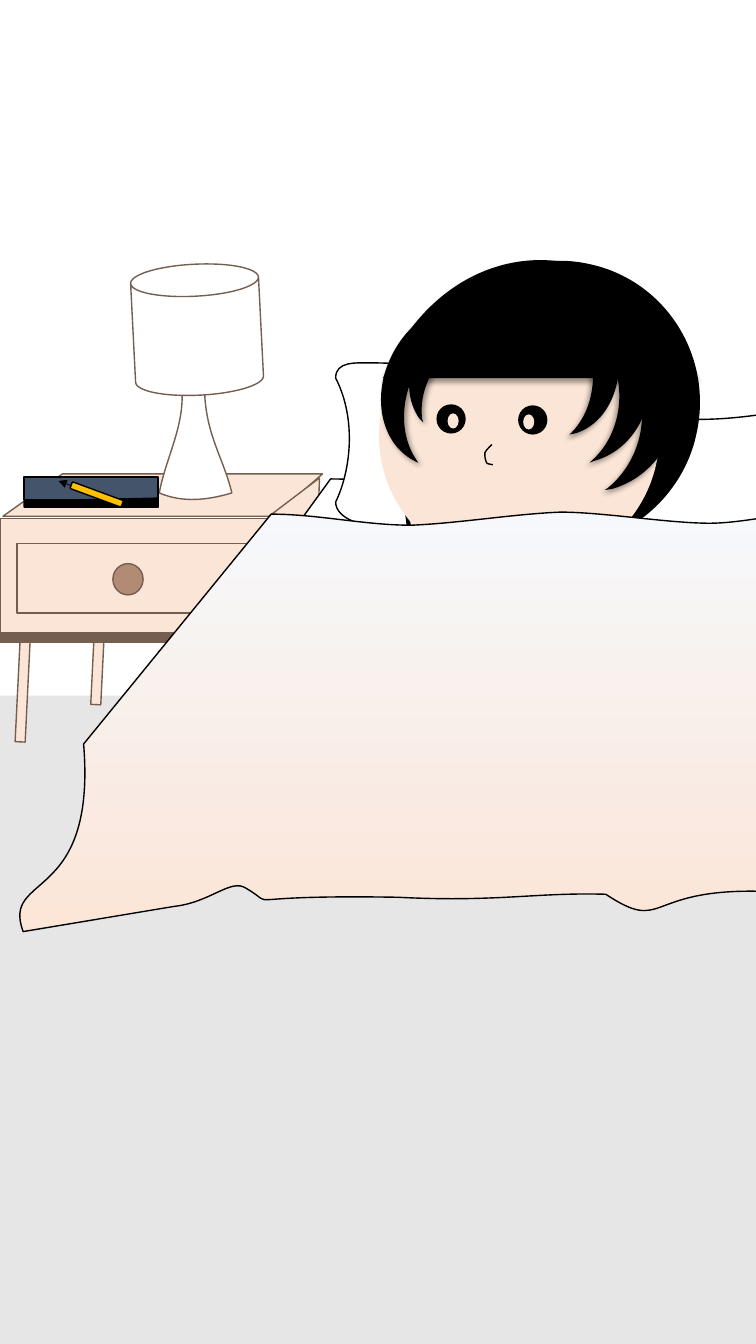
import lxml.etree
import pptx
import pptx.dml.color
import pptx.enum.shapes
import pptx.oxml.ns
import pptx.util

SHAPES = pptx.enum.shapes.MSO_SHAPE
COLORS = {
    "floor": "E7E6E6", "peach": "FBE5D6", "wood": "745E50", "knob": "B18B74",
    "white": "FFFFFF", "black": "000000", "notebook": "44546A",
    "pencil": "FFC000", "sheet": "F6F8FC",
}


def length(inches):
    return pptx.util.Cm(inches * 2.54)


def color(name):
    return pptx.dml.color.RGBColor.from_string(COLORS[name])


def bend(shape, segments):
    contour = next(shape.element.iter(pptx.oxml.ns.qn("a:path")))
    lines = iter(contour.findall(pptx.oxml.ns.qn("a:lnTo")))
    for segment in segments:
        parts = [next(lines) for _ in range(len(segment) // 2)]
        if len(parts) == 3:
            curve = lxml.etree.Element(pptx.oxml.ns.qn("a:cubicBezTo"))
            contour.replace(parts[0], curve)
            for part in parts:
                curve.append(part[0])
            for part in parts[1:]:
                contour.remove(part)


class Scene:
    def __init__(self, slide):
        self.slide = slide

    def style(self, shape, fill, line, width):
        shape.shadow.inherit = False
        if fill:
            shape.fill.solid()
            shape.fill.fore_color.rgb = color(fill)
        else:
            shape.fill.background()
        if line:
            shape.line.color.rgb = color(line)
            shape.line.width = pptx.util.Pt(width)
        else:
            shape.line.fill.background()
        return shape

    def preset(self, kind, box, fill, line=None, rotation=0):
        shape = self.slide.shapes.add_shape(kind, *map(length, box))
        shape.rotation = rotation
        return self.style(shape, fill, line, 1)

    def outline(self, segments, fill=None, line=None, width=1, close=True):
        points = [(length(segment[i]), length(segment[i + 1]))
                  for segment in segments for i in range(0, len(segment), 2)]
        builder = self.slide.shapes.build_freeform(*points[0], scale=1.0)
        builder.add_line_segments(points[1:], close=close)
        shape = builder.convert_to_shape()
        bend(shape, segments[1:])
        return self.style(shape, fill, line, width)

    def lock(self, segments, angle):
        shape = self.outline(segments, "black")
        effects = shape.element.spPr.find(pptx.oxml.ns.qn("a:effectLst"))
        shadow = lxml.etree.SubElement(
            effects, pptx.oxml.ns.qn("a:outerShdw"), blurRad=str(pptx.util.Pt(4)),
            dist=str(pptx.util.Pt(3)), dir=str(angle * 60000), rotWithShape="0")
        tone = lxml.etree.SubElement(shadow, pptx.oxml.ns.qn("a:srgbClr"), val=COLORS["black"])
        lxml.etree.SubElement(tone, pptx.oxml.ns.qn("a:alpha"), val="40000")

    def arrow(self, start, end, line, width):
        connector = self.slide.shapes.add_connector(
            pptx.enum.shapes.MSO_CONNECTOR.STRAIGHT, *map(length, start + end))
        connector.line.color.rgb = color(line)
        connector.line.width = pptx.util.Pt(width)
        properties = connector._element.spPr
        lxml.etree.SubElement(properties.find(pptx.oxml.ns.qn("a:ln")),
                              pptx.oxml.ns.qn("a:tailEnd"), type="triangle")
        lxml.etree.SubElement(properties, pptx.oxml.ns.qn("a:effectLst"))


def draw_nightstand(scene):
    for left, top in ((0.94, 5.36), (0.19, 5.73)):
        scene.preset(SHAPES.RECTANGLE, (left, top, 0.1, 1.63), "peach", "wood", 2.8)
    scene.preset(SHAPES.RECTANGLE, (0, 5.23, 2.65, 1.14), "wood", "wood")
    scene.preset(SHAPES.RECTANGLE, (0, 5.14, 2.65, 1.14), "peach", "wood")
    scene.preset(SHAPES.RECTANGLE, (0.17, 5.39, 2.32, 0.69), "peach", "wood")
    scene.preset(SHAPES.OVAL, (1.12, 5.59, 0.3, 0.31), "knob", "wood")
    scene.outline([(0.62, 4.7), (3.2, 4.7), (2.72, 5.12), (0.03, 5.12)], "peach", "wood")
    scene.outline([(2.67, 5.12), (3.17, 4.74), (3.13, 5.91), (2.67, 6.27)], "peach", "wood")


def draw_bed(scene):
    scene.outline([(3.28, 4.75), (11.26, 4.87), (13.33, 7.34), (1.4, 7.34)], "white", "black")
    scene.outline([
        (3.33, 3.75), (3.33, 3.58, 3.53, 3.6, 3.7, 3.6), (4.52, 3.6, 5.31, 3.91, 6.1, 3.41),
        (6.27, 3.41, 6.41, 3.58, 6.41, 3.75), (6.38, 4.29, 6.38, 4.48, 6.41, 4.98),
        (6.41, 5.15, 6.37, 5.23, 6.2, 5.23), (5.12, 5.48, 4.59, 5.23, 3.79, 5.23),
        (3.62, 5.23, 3.33, 5.15, 3.33, 4.98), (3.48, 4.67, 3.54, 4.16, 3.33, 3.75),
    ], "white", "black")
    scene.outline([
        (8.81, 4.5), (8.81, 4.33, 8.97, 4.09, 8.52, 4.01), (8.07, 3.93, 7.12, 4.36, 6.12, 4.04),
        (5.95, 4.04, 5.81, 4.16, 5.81, 4.33), (5.84, 4.87, 5.84, 4.9, 5.81, 5.4),
        (5.81, 5.57, 5.85, 5.65, 6.02, 5.65), (7.1, 5.89, 7.63, 5.65, 8.43, 5.65),
        (8.6, 5.65, 8.89, 5.57, 8.89, 5.4), (8.74, 5.08, 8.88, 4.91, 8.81, 4.5),
    ], "white", "black")


def draw_lamp_and_notebook(scene):
    scene.outline([
        (1.79, 3.75), (2.03, 3.75), (2.01, 4.28, 2.21, 4.51, 2.3, 4.89),
        (2.06, 4.96, 1.82, 4.99, 1.58, 4.89), (1.65, 4.51, 1.87, 4.17, 1.79, 3.75),
    ], "white", "wood")
    scene.preset(SHAPES.CAN, (1.32, 2.62, 1.27, 1.3), "white", "wood", 357.1)
    scene.preset(SHAPES.RECTANGLE, (0.24, 4.73, 1.33, 0.23), "notebook", "black")
    scene.outline([(0.24, 4.97), (1.57, 4.94), (1.57, 5.03), (0.24, 5.03)], "black", "black")
    scene.arrow((1.21, 5), (0.58, 4.77), "black", 0.5)
    scene.preset(SHAPES.ROUNDED_RECTANGLE, (0.69, 4.87, 0.54, 0.07), "pencil", "black", 20.2)


def draw_child(scene):
    scene.outline([
        (5.85, 2.62), (5.1, 2.45, 4.36, 2.94, 4.19, 3.7), (4.18, 3.75, 4.17, 3.8, 4.17, 3.84),
        (4.16, 3.85), (4.19, 3.84), (4.47, 3.69, 4.8, 3.64, 5.13, 3.71),
        (5.79, 3.85, 6.23, 4.45, 6.22, 5.1), (6.21, 5.24), (6.3, 5.19),
        (6.6, 4.99, 6.83, 4.68, 6.91, 4.3), (7.08, 3.53, 6.6, 2.78, 5.85, 2.62),
    ], "black")
    scene.outline([
        (4.48, 4.58), (4.3, 4.62, 4.12, 4.67, 4.05, 4.83), (3.99, 4.99, 4.1, 5.42, 4.11, 5.57),
        (4.12, 5.71, 4.11, 5.69, 4.11, 5.69),
    ], line="black", width=3, close=False)
    scene.preset(SHAPES.OVAL, (3.76, 2.98, 2.78, 2.69), "peach")
    scene.outline([
        (4.88, 4.41), (4.85, 4.44), (4.84, 4.45, 4.82, 4.47, 4.81, 4.49),
        (4.81, 4.51, 4.81, 4.55, 4.82, 4.57), (4.82, 4.59, 4.83, 4.59, 4.84, 4.6), (4.89, 4.61),
    ], line="black", close=False)
    scene.lock([
        (5.53, 3.03), (5.44, 3.06, 5.36, 3.1, 5.28, 3.15), (5.24, 3.18), (5.27, 3.18),
        (5.73, 3.09, 6.19, 3.38, 6.33, 3.85), (6.44, 4.22, 6.31, 4.61, 6.03, 4.84), (6, 4.86),
        (6.07, 4.85), (6.56, 4.71, 6.83, 4.18, 6.68, 3.68), (6.54, 3.18, 6.02, 2.89, 5.53, 3.03),
    ], 135)
    scene.lock([
        (5.4, 2.86), (5.32, 2.88, 5.25, 2.92, 5.18, 2.96), (5.15, 2.99), (5.17, 2.98),
        (5.56, 2.92, 5.97, 3.19, 6.1, 3.64), (6.21, 3.99, 6.11, 4.36, 5.87, 4.57), (5.85, 4.59),
        (5.9, 4.57), (6.32, 4.45, 6.55, 3.97, 6.41, 3.49), (6.27, 3.02, 5.81, 2.73, 5.4, 2.86),
    ], 135)
    scene.lock([
        (5.22, 2.69), (5.16, 2.71, 5.1, 2.74, 5.04, 2.78), (5.01, 2.81), (5.03, 2.8),
        (5.37, 2.75, 5.72, 3.02, 5.84, 3.43), (5.94, 3.77, 5.86, 4.1, 5.67, 4.29), (5.65, 4.31),
        (5.7, 4.3), (6.05, 4.2, 6.23, 3.75, 6.1, 3.31), (5.97, 2.86, 5.58, 2.59, 5.22, 2.69),
    ], 135)
    scene.lock([
        (5.36, 2.58), (6.01, 2.58, 6.58, 3.01, 6.87, 3.64), (6.92, 3.75), (3.8, 3.75),
        (3.85, 3.64), (4.14, 3.01, 4.71, 2.58, 5.36, 2.58),
    ], 90)
    scene.lock([
        (5.52, 3.17), (5.56, 3.22, 5.59, 3.29, 5.61, 3.35), (5.62, 3.39), (5.6, 3.37),
        (5.37, 3.13, 4.93, 3.12, 4.58, 3.38), (4.29, 3.58, 4.15, 3.89, 4.19, 4.16), (4.2, 4.19),
        (4.16, 4.15), (3.95, 3.85, 4.08, 3.39, 4.45, 3.12), (4.83, 2.85, 5.31, 2.87, 5.52, 3.17),
    ], 45)
    scene.lock([
        (4.87, 3.07), (4.93, 3.1, 4.98, 3.15, 5.03, 3.2), (5.05, 3.23), (5.04, 3.22),
        (4.72, 3.1, 4.32, 3.3, 4.12, 3.69), (3.96, 4, 3.98, 4.34, 4.13, 4.56), (4.15, 4.59),
        (4.11, 4.57), (3.78, 4.4, 3.68, 3.93, 3.89, 3.52), (4.1, 3.1, 4.54, 2.91, 4.87, 3.07),
    ], 45)
    for left, top, glint in ((5.14, 4.02, 0.05), (4.33, 4.01, 0.11)):
        scene.preset(SHAPES.OVAL, (left, top, 0.29, 0.29), "black")
        scene.preset(SHAPES.OVAL, (left + glint, top + 0.09, 0.11, 0.15), "peach")


def draw_blanket(scene):
    blanket = scene.outline([
        (0.83, 7.38), (2.69, 5.1), (3.15, 5.1, 3.62, 5.21, 4.08, 5.21),
        (4.56, 5.19, 5.08, 5.1, 5.56, 5.08), (5.98, 5.08, 6.63, 5.19, 7.04, 5.19),
        (7.4, 5.19, 7.88, 5.06, 8.23, 5.06), (8.74, 5.07, 9.33, 5.23, 9.84, 5.25), (11.77, 5.15),
        (13.22, 6.32, 13.29, 6.66, 13.54, 7.47), (13.17, 8.58, 14.76, 9.15, 14.33, 9.15),
        (14.2, 9.39, 13.26, 8.85, 12.77, 8.81), (12.27, 8.76, 11.79, 8.88, 11.35, 8.87),
        (10.9, 8.85, 10.52, 8.88, 10.11, 8.87), (9.71, 8.86, 9.34, 8.92, 8.91, 8.9),
        (8.39, 9.24, 8.01, 8.87, 7.52, 8.84), (6.39, 8.82, 6.6, 9.26, 6.01, 8.87),
        (5.31, 8.85, 4.94, 8.95, 3.95, 8.9), (2.22, 8.87, 2.8, 9.02, 2.44, 8.81),
        (2.29, 8.71, 2.09, 8.95, 1.73, 8.99), (0.23, 9.24), (0.01, 8.65, 0.96, 8.98, 0.83, 7.38),
    ], "peach", "black")
    blanket.fill.gradient()
    blanket.fill.gradient_angle = 270
    for stop, name, position in zip(blanket.fill.gradient_stops, ("sheet", "peach"), (0, 1)):
        stop.color.rgb = color(name)
        stop.position = position


def main():
    presentation = pptx.Presentation()
    presentation.slide_width = length(7.5)
    presentation.slide_height = length(13.33)
    scene = Scene(presentation.slides.add_slide(presentation.slide_layouts[6]))
    scene.preset(SHAPES.RECTANGLE, (-0.05, 6.9, 10.31, 6.86), "floor")
    for draw in (draw_nightstand, draw_bed, draw_lamp_and_notebook, draw_child, draw_blanket):
        draw(scene)
    presentation.save("out.pptx")


if __name__ == "__main__":
    main()
